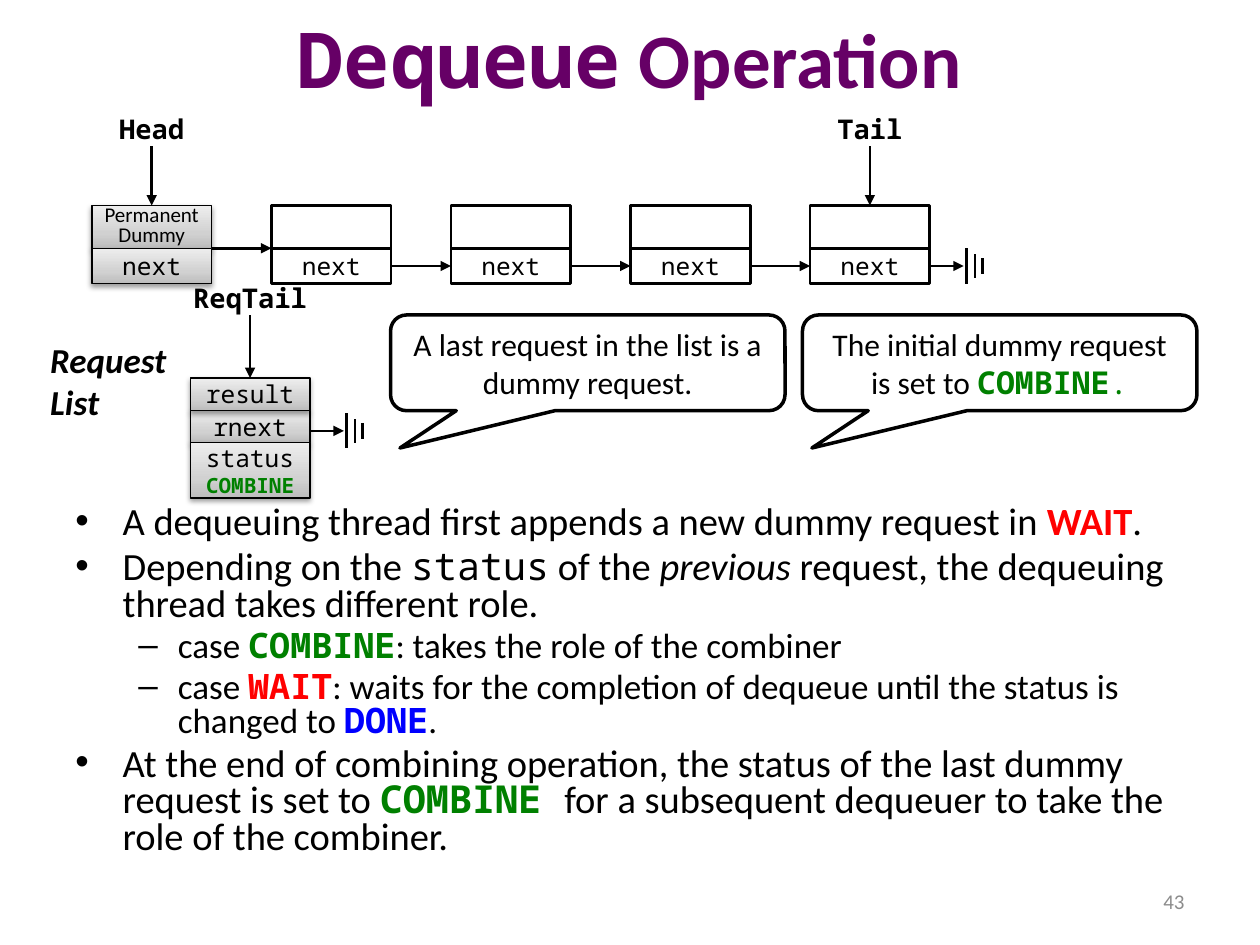
from copy import deepcopy
from dataclasses import dataclass

from lxml.etree import SubElement
from pptx import Presentation
from pptx.dml.color import RGBColor as Rgb
from pptx.enum.shapes import MSO_CONNECTOR as Link, MSO_SHAPE as Kind
from pptx.enum.text import MSO_ANCHOR as Anchor, PP_ALIGN as Align
from pptx.oxml.ns import qn
from pptx.util import Pt


@dataclass(frozen=True)
class Theme:
    sans: str = "Calibri"
    mono: str = "Noto Sans Mono"
    ink: str = "000000"
    paper: str = "FFFFFF"
    plum: str = "660066"
    gray: str = "8C8C8C"
    green: str = "008000"
    red: str = "FF0000"
    blue: str = "0000FF"
    shade: tuple = ((0, "BDBDBD"), (0.35, "D1D1D1"), (1, "EEEEEE"))
    title: float = 44
    body: float = 22
    sub: float = 20
    note: float = 18
    label: float = 15.5
    code: float = 14
    small: float = 12


T = Theme()
CODE = dict(name=T.mono, size=T.code)
COMBINE = dict(name=T.mono, color=T.green, bold=True)
WAIT = dict(name=T.mono, color=T.red, bold=True)
DONE = dict(name=T.mono, color=T.blue, bold=True)
NODE_W = 68.4


def assign(target, fmt):
    for key, val in fmt.items():
        setattr(target, key, val)


def add_runs(para, runs, base):
    """Add (text, format) runs; each format overrides the base."""
    for text, fmt in runs:
        run = para.add_run()
        run.text = text
        look = dict(name=T.sans, color=T.ink) | base | fmt
        run.font.color.rgb = Rgb.from_string(look.pop("color"))
        look["size"] = Pt(look["size"])
        assign(run.font, look)


def fill_text(shape, paras, base, align=Align.CENTER, **frame):
    tf = shape.text_frame
    assign(tf, dict(word_wrap=True, vertical_anchor=Anchor.MIDDLE) | frame)
    for i, runs in enumerate(paras):
        para = tf.paragraphs[0] if i == 0 else tf.add_paragraph()
        para.alignment = align
        add_runs(para, runs, base)
    return tf


def add_text(slide, box, paras, base, align=Align.CENTER, **frame):
    shape = slide.shapes.add_textbox(*map(Pt, box))
    return fill_text(shape, paras, base, align, **frame)


def add_box(slide, kind, box, width):
    shape = slide.shapes.add_shape(kind, *map(Pt, box))
    shape.shadow.inherit = False
    shape.fill.solid()
    shape.fill.fore_color.rgb = Rgb.from_string(T.paper)
    shape.line.color.rgb = Rgb.from_string(T.ink)
    shape.line.width = Pt(width)
    return shape


def add_shade(shape):
    """Give a dummy cell its gray gradient and soft shadow."""
    fill = shape.fill
    fill.gradient()
    fill.gradient_angle = 90
    stops = shape.element.spPr.find(".//" + qn("a:gsLst"))
    stops.append(deepcopy(stops[0]))
    for stop, (pos, color) in zip(fill.gradient_stops, T.shade):
        stop.position = pos
        stop.color.rgb = Rgb.from_string(color)
    glow = SubElement(shape.element.spPr.find(qn("a:effectLst")), qn("a:outerShdw"),
                      blurRad=str(Pt(3.1)), dist=str(Pt(1.6)), dir="5400000", rotWithShape="0")
    tone = SubElement(glow, qn("a:srgbClr"), val=T.ink)
    SubElement(tone, qn("a:alpha"), val="38000")


def add_cell(slide, box, paras=(), base=CODE, dummy=False):
    cell = add_box(slide, Kind.RECTANGLE, box, 0.75 if dummy else 1.5)
    if dummy:
        add_shade(cell)
    fill_text(cell, paras, base, margin_left=0, margin_right=0, margin_top=0, margin_bottom=0)
    return cell


def add_line(slide, x1, y1, x2, y2, arrow=False):
    line = slide.shapes.add_connector(Link.STRAIGHT, *map(Pt, (x1, y1, x2, y2)))
    line.line.color.rgb = Rgb.from_string(T.ink)
    line.line.width = Pt(1.5)
    if arrow:
        SubElement(line.line._get_or_add_ln(), qn("a:tailEnd"), type="triangle")
    SubElement(line.element.spPr, qn("a:effectLst"))
    return line


def add_label(slide, name, cell, y):
    """Name a cell from above, with an arrow down to its top."""
    x = (cell.left + cell.width / 2) / Pt(1)
    add_text(slide, (x - 45, y, 90, 23), [[(name, {})]],
             dict(name=T.mono, size=T.label, bold=True),
             vertical_anchor=Anchor.TOP, margin_bottom=0, word_wrap=False)
    add_line(slide, x, y + 23, x, cell.top / Pt(1), True).end_connect(cell, 0)


def add_null(slide, x, y):
    """Draw an arrow into three shrinking bars; return the arrow."""
    for dx, half in ((21, 10), (25.8, 6.75), (30.2, 4.5)):
        add_line(slide, x + dx, y - half, x + dx, y + half)
    return add_line(slide, x, y, x + 19.4, y, True)


def add_queue(slide, box):
    x, y, width, _ = box
    top, head, foot, count = y + 56.9, 24.5, 20.2, 5
    step = (width - NODE_W) / (count - 1)
    tops, nexts = [], []
    for i in range(count):
        left, dummy = x + i * step, i == 0
        name = [[("Permanent Dummy", {})]] if dummy else ()
        cell = add_cell(slide, (left, top, NODE_W, head), name, dict(size=T.small), dummy)
        cell.text_frame.paragraphs[0].line_spacing = 0.8
        tops.append(cell)
        nexts.append(add_cell(slide, (left, top + head, NODE_W, foot),
                              [[("next", {})]], dummy=dummy))
    add_line(slide, x + NODE_W, top + head, x + step, top + head, True)
    for prev, cell in zip(nexts[1:], nexts[2:]):
        link = add_line(slide, 0, 0, 1, 1, True)
        link.begin_connect(prev, 3)
        link.end_connect(cell, 1)
    add_null(slide, x + width, top + head + foot / 2).begin_connect(nexts[-1], 3)
    add_label(slide, "Head", tops[0], y)
    add_label(slide, "Tail", tops[-1], y)


def add_requests(slide, box):
    x, y, width, _ = box
    add_text(slide, (x, y + 33, 87, 55.4), [[("Request", {})], [("List", {})]],
             dict(size=T.sub, bold=True, italic=True), Align.LEFT, word_wrap=False)
    left, top, row = x + width - NODE_W, y + 59, 18.5
    status = [[("status", {})], [("COMBINE", COMBINE | dict(size=T.small))]]
    rows = (([[("rnext", {})]], top + row, row),
            (status, top + 2 * row, 31.6),
            ([[("result", {})]], top, row))
    for paras, at, high in rows:
        cell = add_cell(slide, (left, at, NODE_W, high), paras, dummy=True)
    add_label(slide, "ReqTail", cell, y)
    add_null(slide, x + width, y + 89.2)


def add_callout(slide, box, runs):
    shape = add_box(slide, Kind.ROUNDED_RECTANGULAR_CALLOUT, box, 2)
    for i, val in enumerate((-0.476, 0.89, 0.167)):
        shape.adjustments[i] = val
    fill_text(shape, [runs], dict(size=T.note))


def add_points(slide, box, points):
    paras = [runs for _, runs in points]
    levels = ((T.body, "•", 27, 27), (T.sub, "–", 58.5, 22.5))
    tf = add_text(slide, box, [[] for _ in paras], {}, Align.LEFT, vertical_anchor=Anchor.TOP)
    for i, (para, (level, runs)) in enumerate(zip(tf.paragraphs, points)):
        size, mark, left, hang = levels[level]
        props = para._p.get_or_add_pPr()
        props.set("marL", str(Pt(left)))
        props.set("indent", str(-Pt(hang)))
        SubElement(props, qn("a:buFont"), typeface="Arial")
        SubElement(props, qn("a:buChar"), char=mark)
        assign(para, dict(level=level, line_spacing=0.8, space_before=Pt(size / 5 if i else 0)))
        add_runs(para, runs, dict(size=size))


def main():
    deck = Presentation()
    deck.slide_width, deck.slide_height = Pt(720), Pt(540)
    slide = deck.slides.add_slide(deck.slide_layouts[6])
    add_text(slide, (36, -12.2, 648, 90), [[("Dequeue", dict(name=T.mono)), (" Operation", {})]],
             dict(size=T.title, color=T.plum, bold=True))
    add_text(slide, (516, 500.4, 168, 28.8), [[("43", {})]],
             dict(size=T.small, color=T.gray), Align.RIGHT)
    add_queue(slide, (52.5, 60.5, 478.8, 101.6))
    add_requests(slide, (21.6, 157, 155.5, 127.6))
    add_points(slide, (36, 285.8, 656.6, 245.5), (
        (0, [("A dequeuing thread first appends a new dummy request in ", {}),
             ("WAIT", dict(color=T.red, bold=True)), (".", {})]),
        (0, [("Depending on the ", {}), ("status", dict(name=T.mono)), (" of the ", {}),
             ("previous", dict(italic=True)),
             (" request, the dequeuing thread takes different role.", {})]),
        (1, [("case ", {}), ("COMBINE", COMBINE), (": takes the role of the combiner", {})]),
        (1, [("case ", {}), ("WAIT", WAIT),
             (": waits for the completion of dequeue until the status is changed to ", {}),
             ("DONE", DONE), (".", {})]),
        (0, [("At the end of combining operation, the status of the last dummy "
              "request is set to ", {}), ("COMBINE ", COMBINE),
             ("for a subsequent dequeuer to take the role of the combiner.", {})])))
    add_callout(slide, (223.2, 180, 225.4, 54.7),
                [("A last request in the list is a dummy request.", {})])
    add_callout(slide, (458.6, 180, 225.4, 54.7),
                [("The initial dummy request is set to ", {}), ("COMBINE", COMBINE),
                 (".", COMBINE | dict(bold=False))])
    deck.save("out.pptx")


if __name__ == "__main__":
    main()
